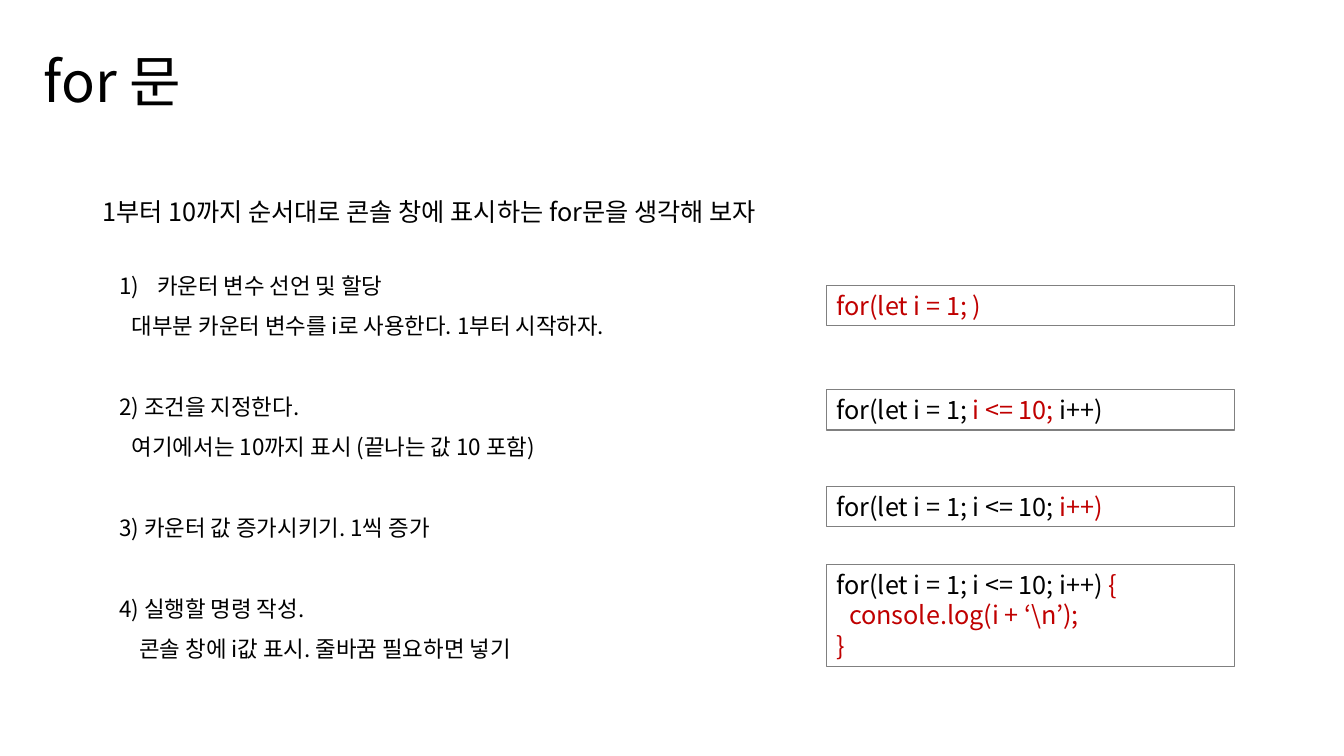
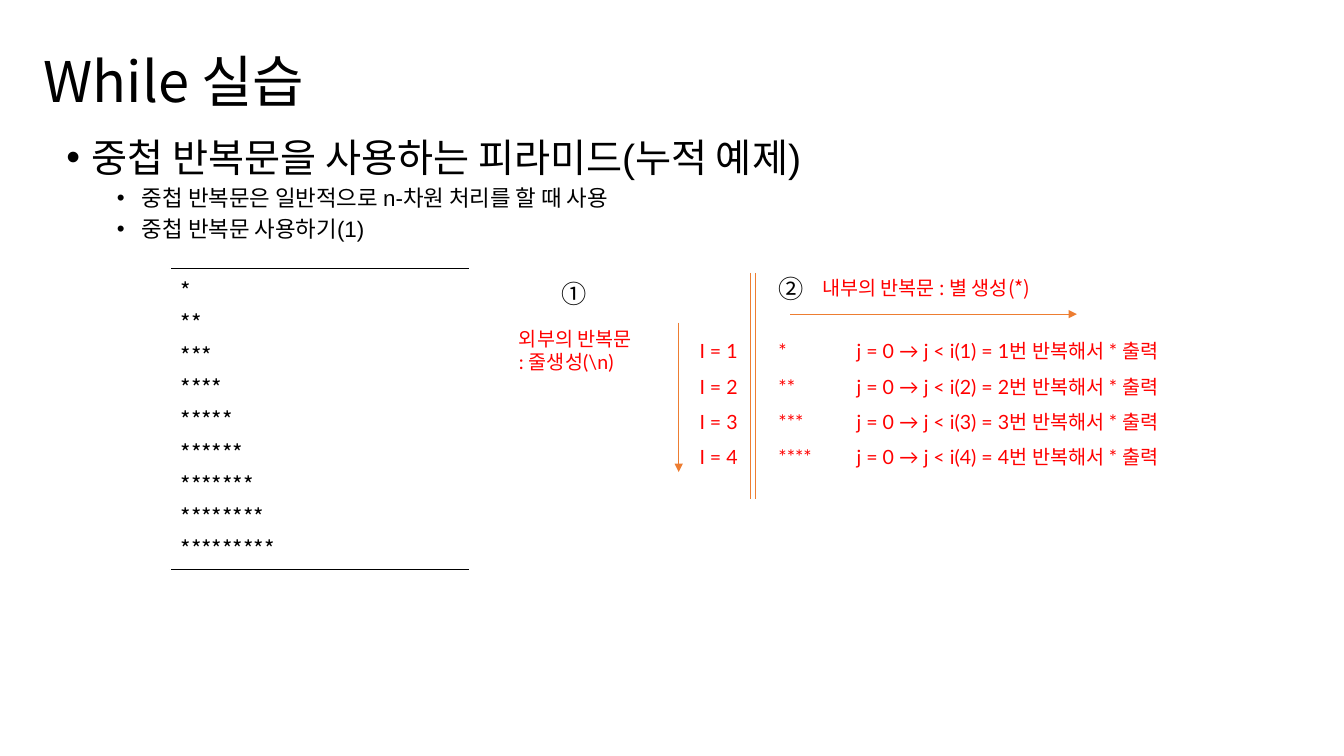
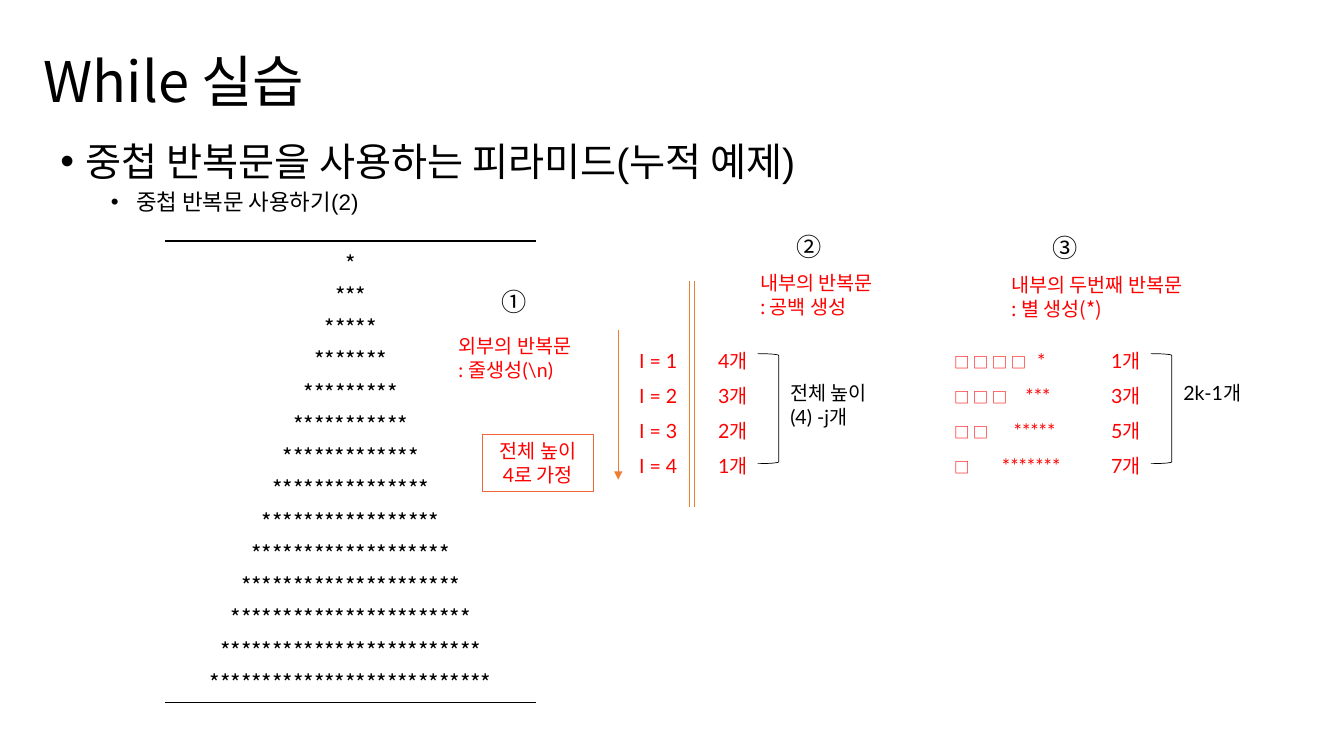
"""Three lecture slides on for and while loops."""
from lxml import etree
from pptx import Presentation
from pptx import util as u
from pptx.dml.color import RGBColor
from pptx.enum import shapes, text
from pptx.oxml import ns

BLACK = RGBColor(0x00, 0x00, 0x00)
GREY = RGBColor(0x80, 0x80, 0x80)
RED = RGBColor(0xFF, 0x00, 0x00)
DARK_RED = RGBColor(0xC0, 0x00, 0x00)
ORANGE = RGBColor(0xED, 0x7D, 0x31)
CORAL = RGBColor(0xF0, 0x64, 0x36)
NOTO, LATO, ARIAL = "Noto Sans CJK KR", "Lato", "Arial"
TOP, CENTER = text.MSO_ANCHOR.TOP, text.PP_ALIGN.CENTER

prs = Presentation()
prs.slide_width, prs.slide_height = u.Inches(13.33), u.Inches(7.5)
COL, ROW = prs.slide_width / 160, prs.slide_height / 90


def put(sp, at, lines, size=14, font=NOTO, color=BLACK, pitch=1.2,
        align=text.PP_ALIGN.LEFT, tabs=None):
    """Place a shape on the grid and write its paragraphs."""
    if at:
        box = zip(("left", "top", "width", "height"), at, (COL, ROW, COL, ROW))
        for name, cells, unit in box:
            setattr(sp, name, round(cells * unit))
    tf = sp.text_frame
    if at:
        frame = {"word_wrap": True, "auto_size": text.MSO_AUTO_SIZE.NONE, "vertical_anchor": TOP}
        for name, value in frame.items():
            setattr(tf, name, value)
    for i, line in enumerate(lines):
        p = tf.paragraphs[0] if i == 0 else tf.add_paragraph()
        p.alignment = align
        p.space_before = u.Pt(0)
        if pitch:
            p.line_spacing = u.Pt(round(size * pitch, 1))
        for words, change in [(line, {})] if isinstance(line, str) else line:
            start = len(p.runs)
            for j, part in enumerate(words.split("\v")):
                if j:
                    p.add_line_break()
                p.add_run().text = part
            look = {"size": u.Pt(size), "name": font, "color": color, **change}
            for r in p.runs[start:]:
                r.font.color.rgb = look["color"]
                for name in ("size", "name"):
                    setattr(r.font, name, look[name])
                ea = etree.SubElement(r.font._element, ns.qn("a:ea"))
                ea.set("typeface", NOTO)
        if tabs:
            stops = etree.SubElement(p._p.get_or_add_pPr(), ns.qn("a:tabLst"))
            for cells in tabs[i]:
                tab = etree.SubElement(stops, ns.qn("a:tab"))
                tab.set("pos", str(round(cells * COL)))
                tab.set("algn", "l")
    return sp


def outline(p, left, hang=0, before=0, bullet=None):
    """Give a list paragraph its indent, gap and bullet."""
    p.space_before = u.Pt(before)
    pPr = p._p.get_or_add_pPr()
    pPr.set("marL", str(round(left * COL)))
    pPr.set("indent", str(round(-hang * COL)))
    if bullet == "•":
        etree.SubElement(pPr, ns.qn("a:buFont")).set("typeface", ARIAL)
        etree.SubElement(pPr, ns.qn("a:buChar")).set("char", bullet)
    elif bullet:
        etree.SubElement(pPr, ns.qn("a:buAutoNum")).set("type", bullet)
    else:
        etree.SubElement(pPr, ns.qn("a:buNone"))


slides = []
for heading in ("for 문", "While 실습", "While 실습"):
    s = prs.slides.add_slide(prs.slide_layouts[1])
    put(s.shapes.title, (4, 4.9, 60, 9), [heading], 40)
    slides.append(s)
for_slide, stars_slide, pyramid_slide = slides

s = for_slide
put(s.shapes.add_textbox(0, 0, 0, 0), (11, 21, 125, 6),
    ["1부터 10까지 순서대로 콘솔 창에 표시하는 for문을 생각해 보자"], 18, pitch=1.8)
steps = [
    ("카운터 변수 선언 및 할당", 4.5, 4.5, 0, "arabicParenR"),
    ("대부분 카운터 변수를 i로 사용한다. 1부터 시작하자.", 1.5, 0, 0, None),
    ("2) 조건을 지정한다.", 0, 0, 28.8, None),
    ("여기에서는 10까지 표시 (끝나는 값 10 포함)", 1.5, 0, 0, None),
    ("3) 카운터 값 증가시키기. 1씩 증가", 0, 0, 28.8, None),
    ("4) 실행할 명령 작성.", 0, 0, 28.8, None),
    ("콘솔 창에 i값 표시. 줄바꿈 필요하면 넣기", 2.4, 0, 0, None),
]
sp = put(s.placeholders[1], (13, 31.8, 83.6, 47.5), [step[0] for step in steps], 16, pitch=1.8)
for p, step in zip(sp.text_frame.paragraphs, steps):
    outline(p, *step[1:])
sp.text_frame.paragraphs[0].line_spacing = u.Pt(19.2)

new = {"color": DARK_RED}
snippets = [
    (34, 4.8, [[("for(let i = 1; )", new)]]),
    (46.4, 4.8, [[("for(let i = 1; ", {}), ("i <= 10; ", new), ("i++)", {})]]),
    (57.9, 4.8, [[("for(let i = 1; i <= 10; ", {}), ("i++)", new)]]),
    (67.2, 12.1, [[("for(let i = 1; i <= 10; i++) ", {}), ("{", new)],
                  [("console.log(i + ‘\\n’);", new)], [("}", new)]]),
]
for top, height, code in snippets:
    sp = s.shapes.add_shape(shapes.MSO_SHAPE.RECTANGLE, 0, 0, 0, 0)
    sp.shadow.inherit = False
    sp.fill.background()
    sp.line.color.rgb, sp.line.width = GREY, u.Pt(0.75)
    put(sp, (98.4, top, 48.6, height), code, 18)
outline(sp.text_frame.paragraphs[1], 1.5)

loops = [
    (stars_slide, 6.7, 15.8, ["중첩 반복문은 일반적으로 n-차원 처리를 할 때 사용", "중첩 반복문 사용하기(1)"],
     (20.3, 32, 35.6), ["*" * n for n in range(1, 10)], text.PP_ALIGN.LEFT, 0, 0),
    (pyramid_slide, 6, 16.3, ["중첩 반복문 사용하기(2)"],
     (19.6, 28.7, 44.3), ["*" * n for n in range(1, 28, 2)], CENTER, -7.2, 0.9),
]
rules = [(stars_slide, 94.1, 37.4, 128.2, 37.4, True)]
for s, left, top, points, (x, y, w), stars, align, dx, dy in loops:
    topic = [("중첩 반복문을 사용하는 피라미드(누적 예제)", {"size": u.Pt(28)})]
    sp = put(s.placeholders[1], (left, top, 148, 65.6), [topic] + points, 16, ARIAL, pitch=1.08)
    for i, p in enumerate(sp.text_frame.paragraphs):
        p.level = min(i, 1)
        outline(p, 9 if i else 3, 3, 5 if i else 0, "•")
    sp.text_frame.paragraphs[0].line_spacing = u.Pt(30.2)

    height = round((3.84 * len(stars) + 1.2) * ROW)
    frame = s.shapes.add_table(1, 1, round(x * COL), round(y * ROW), round(w * COL), height)
    table = frame.table
    table.first_row = table.horz_banding = False
    cell = table.cell(0, 0)
    cell.fill.background()
    for i, side in enumerate(("a:lnT", "a:lnB")):
        ln = etree.Element(ns.qn(side), w=str(u.Pt(1)))
        fill = etree.SubElement(ln, ns.qn("a:solidFill"))
        etree.SubElement(fill, ns.qn("a:srgbClr")).set("val", str(BLACK))
        cell._tc.get_or_add_tcPr().insert(i, ln)
    put(cell, None, stars, 16, pitch=None, align=align)

    put(s.shapes.add_textbox(0, 0, 0, 0), (60.6 + dx, 38.3 + dy, 20.6, 6.8),
        ["외부의 반복문 \v: 줄생성(\\n)"], font=LATO, color=RED)
    rules.append((s, 80.8 + dx, 38.4 + dy, 80.8 + dx, 56.2 + dy, True))
    for rail in (89.3, 89.9):
        rules.append((s, rail + dx, 32.5 + dy, rail + dx, 59.4 + dy, False))

for s, x1, y1, x2, y2, arrow in rules:
    ends = [round(v) for v in (x1 * COL, y1 * ROW, x2 * COL, y2 * ROW)]
    line = s.shapes.add_connector(shapes.MSO_CONNECTOR.STRAIGHT, *ends)
    line.line.color.rgb, line.line.width = ORANGE, u.Pt(0.5)
    if arrow:
        etree.SubElement(line.line._get_or_add_ln(), ns.qn("a:tailEnd")).set("type", "triangle")
    etree.SubElement(line._element.spPr, ns.qn("a:effectLst"))

labels = [
    (stars_slide, 96.7, 32.3, 29.5, "내부의 반복문 : 별 생성(*)", NOTO, RED),
    (pyramid_slide, 89.3, 31.7, 19.7, "내부의 반복문 \v: 공백 생성", NOTO, RED),
    (pyramid_slide, 119.2, 31.9, 25.3, "내부의 두번째 반복문 \v: 별 생성(*)", NOTO, RED),
    (pyramid_slide, 92.9, 44.8, 13.6, "전체 높이 \v(4) -j개", LATO, BLACK),
    (pyramid_slide, 139.7, 44.8, 13.6, "2k-1개", LATO, BLACK),
]
for s, x, y, w, words, font, color in labels:
    put(s.shapes.add_textbox(0, 0, 0, 0), (x, y, w, 6.8), [words], font=font, color=color)

numbers = [
    (stars_slide, 65.7, 32.6, "①"), (stars_slide, 91.5, 32, "②"),
    (pyramid_slide, 58.5, 33.5, "①"), (pyramid_slide, 93.7, 26.9, "②"),
    (pyramid_slide, 124.1, 27.1, "③"),
]
for s, x, y, number in numbers:
    put(s.shapes.add_textbox(0, 0, 0, 0), (x, y, 5.4, 4.8), [number], 18)

turns = range(1, 5)
put(stars_slide.shapes.add_textbox(0, 0, 0, 0), (82.1, 38.4, 61.8, 22.4),
    [f"I = {i}\t{'*' * i}\tj = 0 → j < i({i}) = {i}번 반복해서 * 출력" for i in turns],
    font=LATO, color=RED, pitch=1.8, tabs=[(9.4, 18.7)] * 4)
put(pyramid_slide.shapes.add_textbox(0, 0, 0, 0), (74.9, 39.5, 84, 18.1),
    [[(f"I = {i}\t{5 - i}개\t", {}), (" ".join("□" * (5 - i)), {"size": u.Pt(11)}),
      (f"\t{'*' * (2 * i - 1)}\t{2 * i - 1}개", {})] for i in turns],
    font=LATO, color=RED, pitch=1.8,
    tabs=[(9.4, 37.5, 48.8 - 1.4 * i, 56.2) for i in turns])

s = pyramid_slide
sp = s.shapes.add_shape(shapes.MSO_SHAPE.RECTANGLE, 0, 0, 0, 0)
sp.shadow.inherit = False
sp.fill.background()
sp.line.color.rgb, sp.line.width = CORAL, u.Pt(0.75)
put(sp, (57.4, 51.7, 13.3, 6.8), ["전체 높이", "4로 가정"], font=LATO, color=RED, align=CENTER)
for x in (90.2, 137):
    box = [round(v) for v in (x * COL, 42.1 * ROW, 2.5 * COL, 13.1 * ROW)]
    sp = s.shapes.add_shape(shapes.MSO_SHAPE.RIGHT_BRACKET, *box)
    sp.shadow.inherit = False
    sp.fill.background()
    sp.line.color.rgb, sp.line.width = BLACK, u.Pt(0.5)

prs.save("out.pptx")
